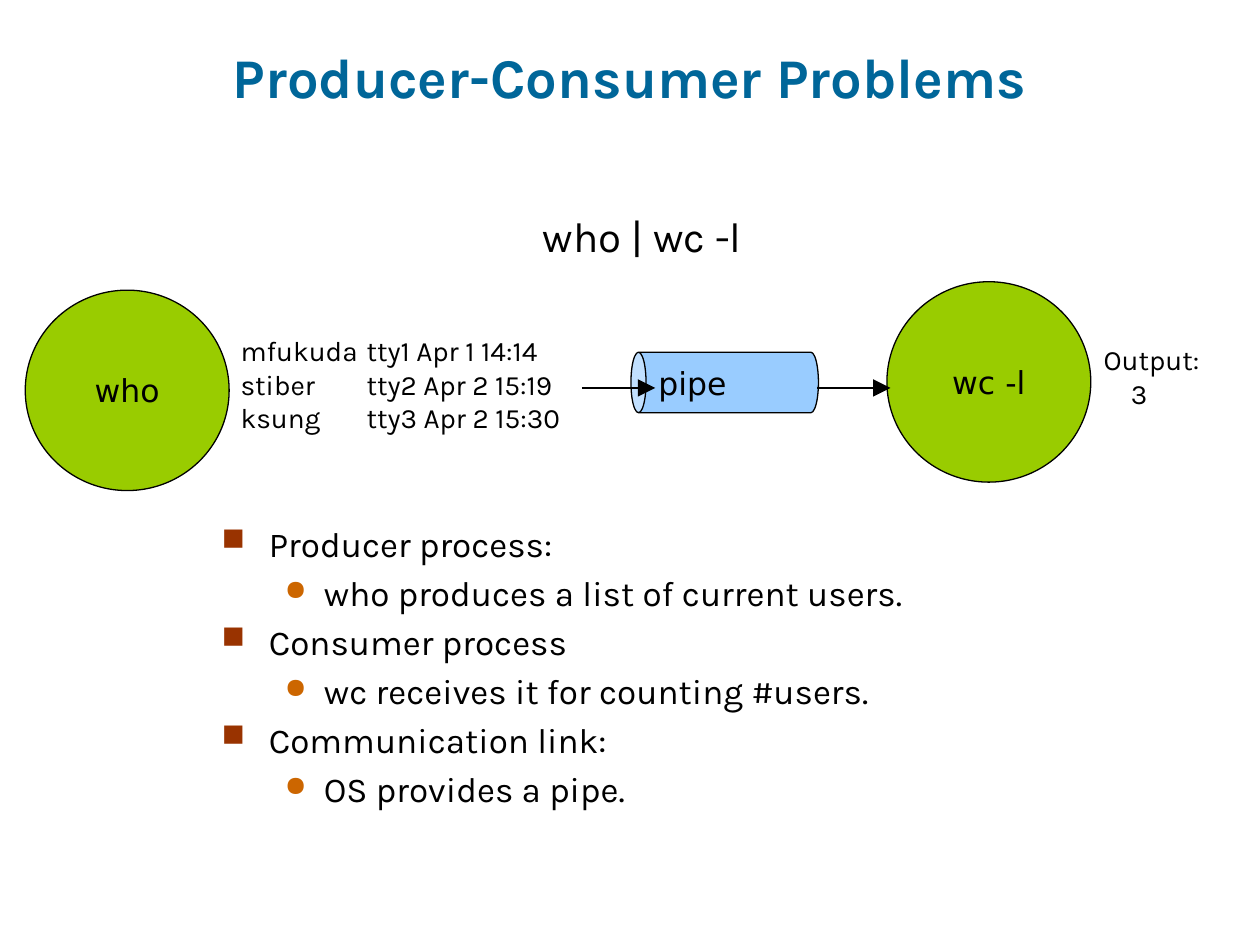
from lxml.etree import SubElement
from pptx import Presentation
from pptx.dml.color import RGBColor
from pptx.enum.shapes import MSO_CONNECTOR, MSO_SHAPE
from pptx.enum.text import MSO_ANCHOR, MSO_AUTO_SIZE, PP_ALIGN
from pptx.oxml.ns import qn
from pptx.util import Cm, Pt


def rgb(value):
    return RGBColor.from_string(value)


def write(sp, lines, size, name="Karla", color="000000", bold=False, align=PP_ALIGN.LEFT, **frame):
    tf = sp.text_frame
    for key, value in frame.items():
        setattr(tf, key, value)
    tf.text = "\n".join(lines)
    for p in tf.paragraphs:
        p.alignment = align
        for r in p.runs:
            for key, value in {"size": Pt(size), "name": name, "bold": bold}.items():
                setattr(r.font, key, value)
            r.font.color.rgb = rgb(color)
    return tf.paragraphs


prs = Presentation()
prs.slide_width, prs.slide_height = Cm(25.4), Cm(19.05)
s = prs.slides.add_slide(prs.slide_layouts[6])

sp = s.shapes.add_textbox(Cm(1.27), Cm(0.74), Cm(22.86), Cm(1.6))
write(sp, ["Producer-Consumer Problems"], 32, color="006699", bold=True, align=PP_ALIGN.CENTER,
      word_wrap=True, vertical_anchor=MSO_ANCHOR.BOTTOM)

sp = s.shapes.add_textbox(Cm(4.22), Cm(10.57), Cm(18.42), Cm(5.84))
points = [
    "Producer process:", "who produces a list of current users.",
    "Consumer process", "wc receives it for counting #users.",
    "Communication link:", "OS provides a pipe.",
]
levels = [(0.95, 0.95, "993300", 90, "■"), (2.06, 0.79, "CC6600", 80, "●")]
for i, p in enumerate(write(sp, points, 20, word_wrap=True)):
    left, hang, color, percent, char = levels[i % 2]
    for key, value in {"level": i % 2, "line_spacing": 0.8, "space_before": Pt(8.8)}.items():
        setattr(p, key, value)
    pPr = p._p.get_or_add_pPr()
    pPr.set("marL", str(Cm(left)))
    pPr.set("indent", str(-Cm(hang)))
    SubElement(SubElement(pPr, qn("a:buClr")), qn("a:srgbClr"), val=color)
    SubElement(pPr, qn("a:buSzPct"), val=str(percent * 1000))
    SubElement(pPr, qn("a:buChar"), char=char)

nodes = [
    (MSO_SHAPE.OVAL, 0.51, 5.85, 4.11, 4.04, "99CC00", "who"),
    (MSO_SHAPE.OVAL, 17.88, 5.68, 4.11, 4.04, "99CC00", "wc -l"),
    (MSO_SHAPE.CAN, 14, 5.82, 1.22, 3.78, "99CCFF", "pipe"),
]
for kind, x, y, w, h, fill, label in nodes:
    sp = s.shapes.add_shape(kind, Cm(x), Cm(y), Cm(w), Cm(h))
    sp.shadow.inherit = False
    sp.fill.solid()
    sp.fill.fore_color.rgb = rgb(fill)
    sp.line.color.rgb = rgb("000000")
    sp.line.width = Pt(0.75)
    write(sp, [label], 18, name="DejaVu Sans", align=PP_ALIGN.CENTER,
          word_wrap=kind == MSO_SHAPE.CAN, vertical_anchor=MSO_ANCHOR.MIDDLE)
    if kind == MSO_SHAPE.CAN:
        sp.rotation = 270
        sp.adjustments[0] = 0.25
        margins = {"margin_left": 0.13, "margin_right": 0.13, "margin_top": 0.25, "margin_bottom": 0.25}
        for key, value in margins.items():
            setattr(sp.text_frame, key, Cm(value))
        sp.element.txBody.find(qn("a:bodyPr")).set("vert", "eaVert")

for x in (11.73, 16.47):
    sp = s.shapes.add_connector(MSO_CONNECTOR.STRAIGHT, Cm(x), Cm(7.82), Cm(x + 1.48), Cm(7.82))
    sp.line.color.rgb = rgb("000000")
    sp.line.width = Pt(0.75)
    SubElement(sp.line._get_or_add_ln(), qn("a:tailEnd"), type="triangle", w="lg", len="lg")
    SubElement(sp.element.spPr, qn("a:effectLst"))

users = ["mfukuda\ttty1 Apr 1 14:14", "stiber\ttty2 Apr 2 15:19", "ksung\ttty3 Apr 2 15:30"]
notes = [
    (10.69, 4.11, 4.9, 1.27, 24, ["who | wc -l"]),
    (4.6, 6.6, 7.19, 2.29, 16, users),
    (22, 6.78, 2.54, 1.63, 16, ["Output:", "3"]),
]
for x, y, w, h, size, lines in notes:
    sp = s.shapes.add_textbox(Cm(x), Cm(y), Cm(w), Cm(h))
    for p in write(sp, lines, size, word_wrap=False, auto_size=MSO_AUTO_SIZE.SHAPE_TO_FIT_TEXT):
        pPr = p._p.get_or_add_pPr()
        pPr.set("defTabSz", str(Cm(2.54)))
        if p.text == "3":
            pPr.set("marL", str(Cm(0.55)))

prs.save("out.pptx")
